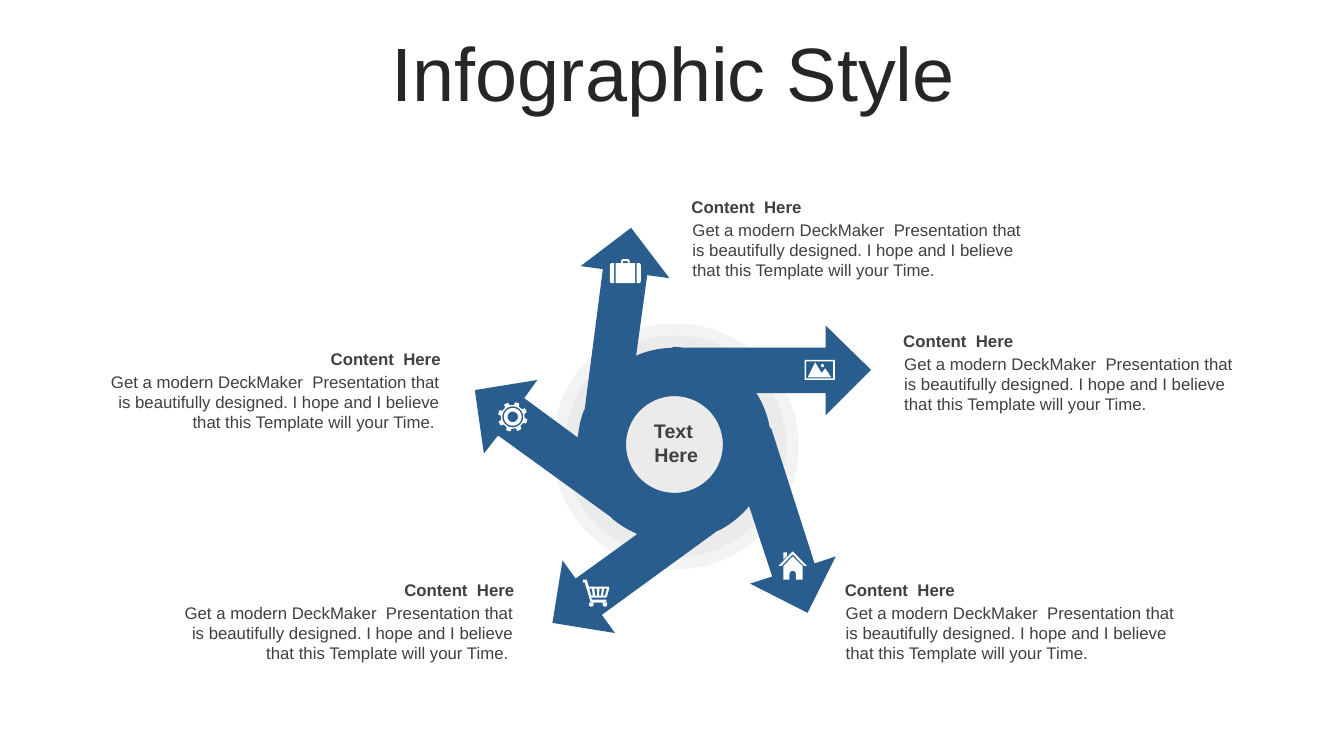
from math import atan2, cos, degrees, radians, sin

from lxml.etree import SubElement
from pptx import Presentation
from pptx.dml.color import RGBColor
from pptx.enum.shapes import MSO_SHAPE
from pptx.enum.text import MSO_ANCHOR, PP_ALIGN
from pptx.oxml.ns import qn
from pptx.util import Inches, Pt

BLUE = RGBColor(0x28, 0x5D, 0x8D)
WHITE = RGBColor(0xFF, 0xFF, 0xFF)
HALO = RGBColor(0xD9, 0xD9, 0xD9)
TITLE_INK = RGBColor(0x26, 0x26, 0x26)
INK = RGBColor(0x40, 0x40, 0x40)
BODY = ("Get a modern DeckMaker  Presentation that is beautifully designed. "
        "I hope and I believe that this Template will your Time.")
RING_RADIUS = 0.96
ARROWS = [
    [(0, -0.97), (0.1, -0.96), (1.5, -0.96), (1.5, -1.18), (1.95, -0.74),
     (1.5, -0.29), (1.5, -0.51), (0.81, -0.51)],
    [(0.95, -0.16), (0.96, -0.16), (1.39, 1.18), (1.6, 1.11), (1.32, 1.67),
     (0.75, 1.38), (0.97, 1.31), (0.74, 0.61)],
    [(0.42, 0.86), (-0.72, 1.69), (-0.59, 1.87), (-1.21, 1.77),
     (-1.11, 1.15), (-0.98, 1.33), (-0.37, 0.89)],
    [(-0.63, 0.72), (-1.75, -0.09), (-1.89, 0.09), (-1.98, -0.54),
     (-1.36, -0.64), (-1.49, -0.46), (-0.96, -0.07)],
    [(-0.89, -0.35), (-0.71, -1.74), (-0.93, -1.77), (-0.43, -2.15),
     (-0.05, -1.65), (-0.27, -1.68), (-0.38, -0.88)],
]
CAPTIONS = [
    (1.58, 5.7, PP_ALIGN.RIGHT),
    (0.85, 3.41, PP_ALIGN.RIGHT),
    (6.76, 1.9, PP_ALIGN.LEFT),
    (8.86, 3.23, PP_ALIGN.LEFT),
    (8.28, 5.7, PP_ALIGN.LEFT),
]


def arc(x, y, radius, start=0, end=360, steps=48):
    """Return points along a circle between two angles in degrees."""
    angles = [radians(start + (end - start) * i / steps) for i in range(steps + 1)]
    return [(x + radius * cos(a), y + radius * sin(a)) for a in angles]


def rectangle(left, top, right, bottom):
    """Return the corners of a rectangle."""
    return [(left, top), (right, top), (right, bottom), (left, bottom)]


def cart():
    """Return the outlines of a shopping cart in hundredths of an inch."""
    frame = [(0, 0), (4, 0), (6, 7), (25.5, 7), (26.5, 8), (24, 17), (23, 18),
             (8.5, 18), (9, 20), (23.5, 20), (23.5, 23), (8, 23), (2, 3), (0, 3)]
    slots = [[(6.5, 9), (9, 9), (10, 16), (8.5, 16)],
             [(11.5, 9), (14, 9), (14.3, 16), (12.3, 16)],
             [(16.5, 9), (19, 9), (18, 16), (16.2, 16)],
             [(21.3, 9), (24, 9), (22, 16), (20, 16)]]
    return [frame, *slots, arc(8.5, 24.6, 2.3), arc(22, 24.6, 2.3)]


def house():
    """Return the outlines of a house in hundredths of an inch."""
    walls = [(14.3, 5), (24, 14.5), (24, 28), (17.5, 28), *arc(14.3, 22.5, 3.2, 0, -180, 12),
             (11, 28), (5, 28), (5, 14.5)]
    roof = [(14.3, 0), (28.5, 14.5), (25.5, 14.5), (14.3, 3), (3, 14.5), (0, 14.5)]
    return [walls, roof, [(5, 1), (8.5, 1), (8.5, 4.5), (5, 8)]]


def photo():
    """Return the outlines of a framed landscape in hundredths of an inch."""
    hills = [(3, 17.5), (10.5, 2.5), (17, 13), (20.5, 8.5), (26.5, 17.5)]
    return [rectangle(0, 0, 30, 20), rectangle(1.5, 1.5, 28.5, 18.5), hills, arc(17.8, 5.7, 1.6)]


def suitcase():
    """Return the outlines of a suitcase in hundredths of an inch."""
    left_end = [(4, 4), (4, 24), *arc(2, 22, 2, 90, 180, 6), *arc(2, 6, 2, 180, 270, 6)]
    right_end = [(30.5 - x, y) for x, y in left_end]
    middle = [(5.5, 4), (11, 4), (11, 1.5), (12.5, 0), (18, 0), (19.5, 1.5),
              (19.5, 4), (25, 4), (25, 24), (5.5, 24)]
    return [left_end, right_end, middle, rectangle(12.8, 2, 17.7, 4)]


def gear():
    """Return the outlines of a gear in hundredths of an inch."""
    profile = [(-13, 11.8), (-8, 14.8), (8, 14.8), (13, 11.8)]
    teeth = [(14.6 + radius * cos(radians(45 * i - 72 + turn)),
              14.6 + radius * sin(radians(45 * i - 72 + turn)))
             for i in range(8) for turn, radius in profile]
    return [teeth, *(arc(14.6, 14.6, radius) for radius in (10.4, 8.8, 5.2))]


def pinwheel():
    """Return the ring and its arrows, joined by arcs, measured from the centre."""
    outline = []
    for arrow, following in zip(ARROWS, ARROWS[1:] + ARROWS[:1]):
        start, end = (degrees(atan2(y, x)) for x, y in (arrow[-1], following[0]))
        sweep = (end - start) % 360
        outline += arrow + arc(0, 0, RING_RADIUS, start, start + sweep, 12)[1:-1]
    return [outline, arc(0, 0, 0.48, steps=90)]


def add_outline(slide, left, top, contours, color, unit=1.0):
    """Draw closed contours as one filled shape offset from a point."""
    placed = [[(Inches(left + x * unit), Inches(top + y * unit)) for x, y in contour]
              for contour in contours]
    builder = slide.shapes.build_freeform(*placed[0][0], scale=1.0)
    builder.add_line_segments(placed[0][1:], close=True)
    for contour in placed[1:]:
        builder.move_to(*contour[0])
        builder.add_line_segments(contour[1:], close=True)
    shape = builder.convert_to_shape()
    shape.shadow.inherit = False
    shape.fill.solid()
    shape.fill.fore_color.rgb = color
    shape.line.fill.background()


def add_text(slide, box, lines, size, color, bold=False, align=PP_ALIGN.LEFT,
             anchor=MSO_ANCHOR.TOP, spacing=None):
    """Write lines of text in a wrapping box."""
    frame = slide.shapes.add_textbox(*map(Inches, box)).text_frame
    frame.word_wrap = True
    frame.vertical_anchor = anchor
    for index, line in enumerate(lines):
        paragraph = frame.add_paragraph() if index else frame.paragraphs[0]
        paragraph.alignment = align
        paragraph.line_spacing = spacing
        run = paragraph.add_run()
        run.text = line
        run.font.name = "Arial"
        run.font.size = Pt(size)
        run.font.bold = bold
        run.font.color.rgb = color


def add_caption(slide, left, top, align):
    """Place a heading with its description below."""
    add_text(slide, (left, top, 3.62, 0.3), ["Content  Here"], 12, INK, True, align, MSO_ANCHOR.MIDDLE)
    body = BODY + " " if align == PP_ALIGN.RIGHT else BODY
    add_text(slide, (left + 0.01, top + 0.23, 3.6, 0.71), [body], 12, INK, align=align)


def add_hub(slide, x, y):
    """Place the halo, the arrows and the central label around a point."""
    for radius in (1.22, 1.1):
        box = (x + 0.01 - radius, y + 0.02 - radius, 2 * radius, 2 * radius)
        halo = slide.shapes.add_shape(MSO_SHAPE.OVAL, *map(Inches, box))
        halo.shadow.inherit = False
        halo.fill.solid()
        halo.fill.fore_color.rgb = HALO
        color = halo.fill._xPr.find(qn("a:solidFill"))[0]
        SubElement(color, qn("a:alpha")).set("val", "30000")
        halo.line.fill.background()
    add_outline(slide, x, y, pinwheel(), BLUE)
    add_text(slide, (x - 0.48, y - 0.3, 0.94, 0.57), ["Text", " Here"], 14, INK, True, PP_ALIGN.CENTER)


def main():
    """Build and save the slide."""
    presentation = Presentation()
    presentation.slide_width = Inches(13.33)
    presentation.slide_height = Inches(7.5)
    slide = presentation.slides.add_slide(presentation.slide_layouts[6])
    add_text(slide, (0.35, 0.37, 12.66, 0.79), ["Infographic Style"], 54, TITLE_INK,
             align=PP_ALIGN.CENTER, anchor=MSO_ANCHOR.MIDDLE, spacing=0.9)
    add_hub(slide, 6.69, 4.41)
    for caption in CAPTIONS:
        add_caption(slide, *caption)
    icons = [(5.78, 5.75, cart), (7.72, 5.47, house), (7.98, 3.57, photo),
             (6.05, 2.57, suitcase), (4.94, 3.99, gear)]
    for left, top, icon in icons:
        add_outline(slide, left, top, icon(), WHITE, 0.01)
    presentation.save("out.pptx")


if __name__ == "__main__":
    main()
